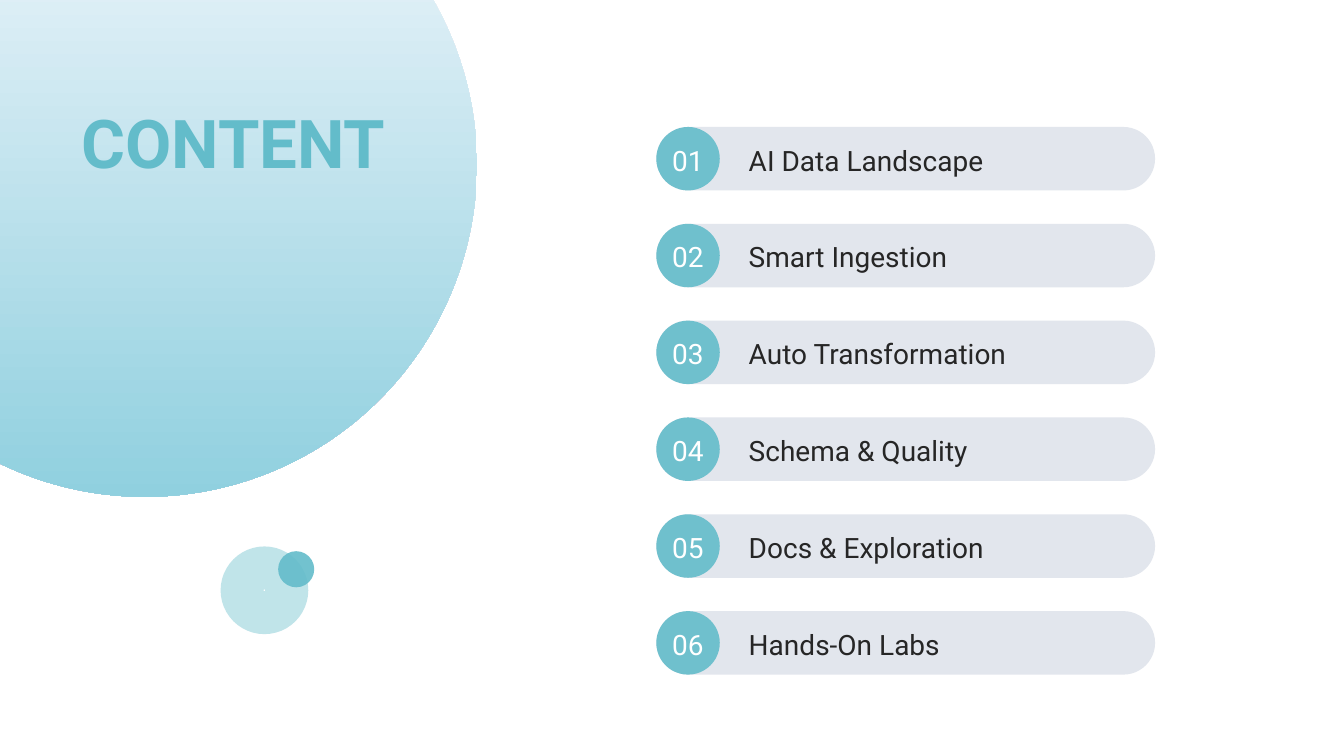
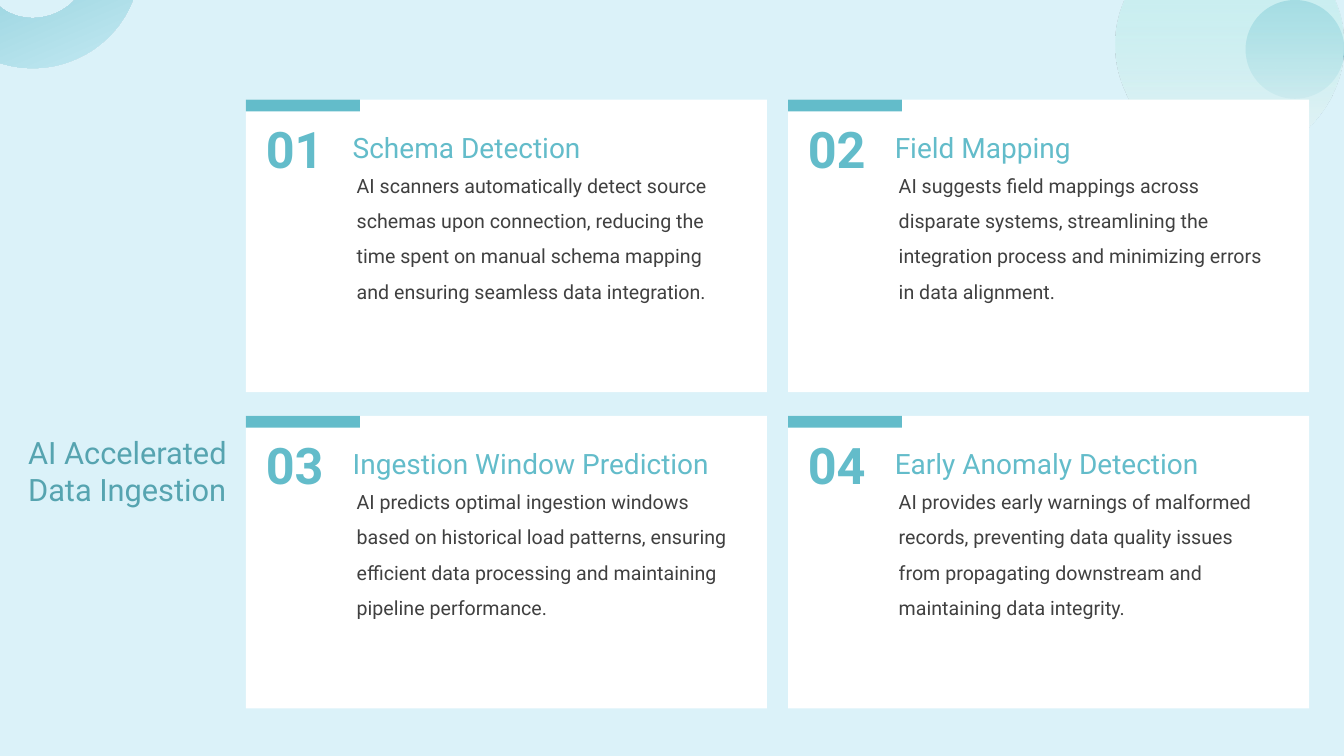
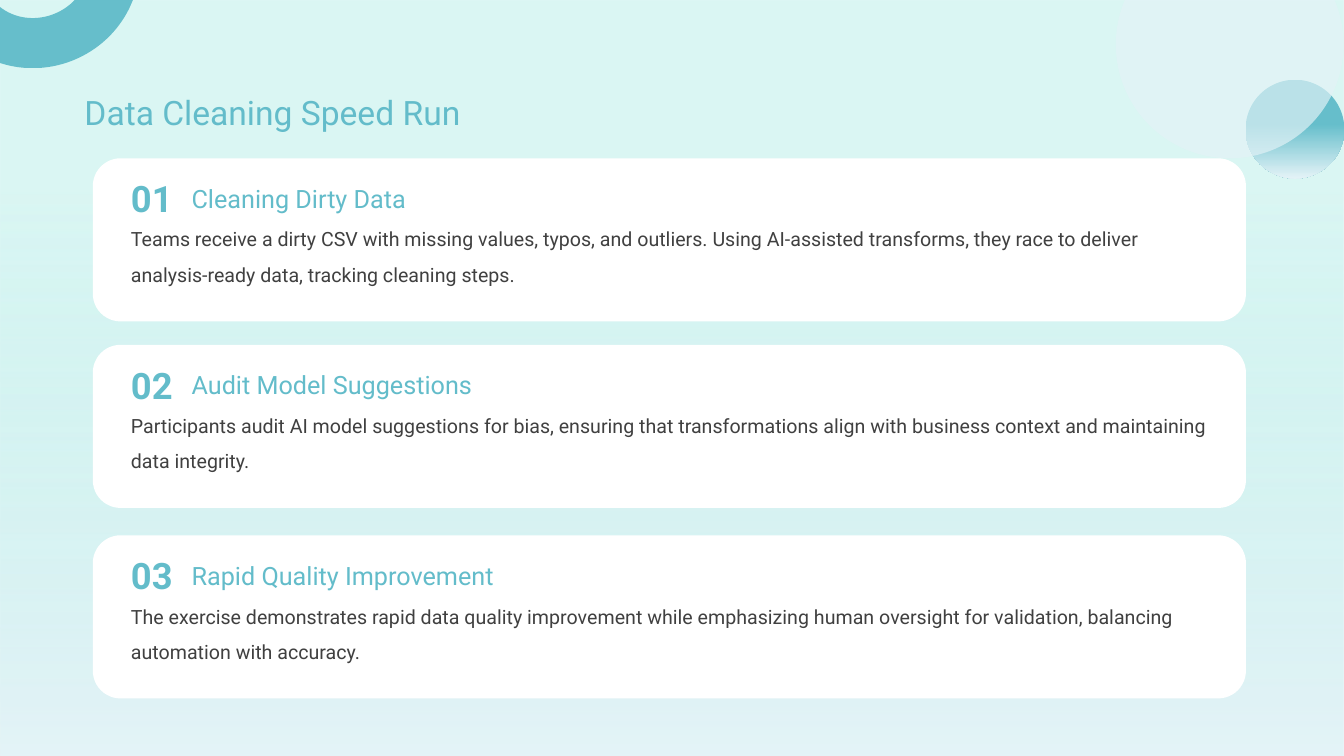
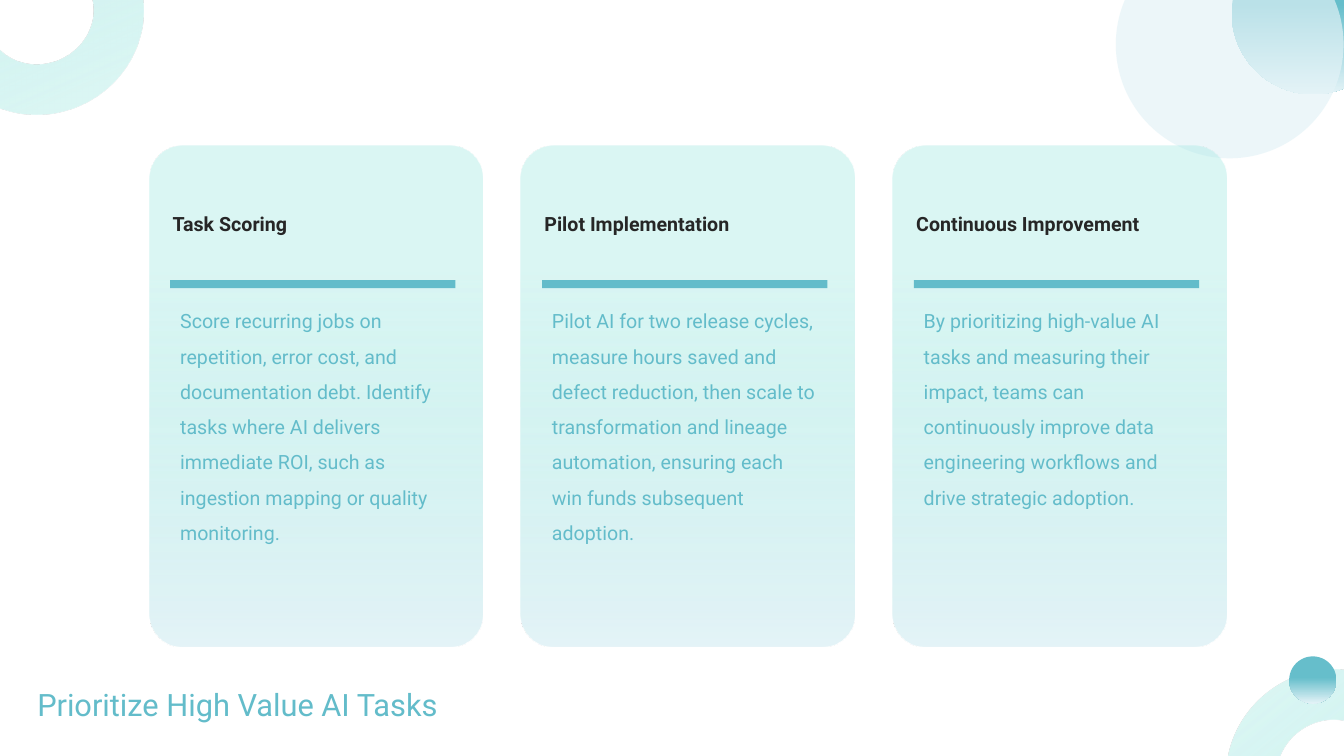
import dataclasses

import lxml.etree
import pptx
import pptx.dml.color
import pptx.enum.shapes
import pptx.enum.text
import pptx.oxml.ns
import pptx.util

Cm = pptx.util.Cm
SHAPE = pptx.enum.shapes.MSO_SHAPE
MIDDLE = pptx.enum.text.MSO_ANCHOR.MIDDLE
qn = pptx.oxml.ns.qn

AGENDA = ["AI Data Landscape", "Smart Ingestion", "Auto Transformation",
          "Schema & Quality", "Docs & Exploration", "Hands-On Labs"]

INGESTION_TITLE = "AI Accelerated Data Ingestion"
INGESTION = [
    ("Schema Detection",
     "AI scanners automatically detect source schemas upon connection, reducing the time "
     "spent on manual schema mapping and ensuring seamless data integration."),
    ("Field Mapping",
     "AI suggests field mappings across disparate systems, streamlining the integration "
     "process and minimizing errors in data alignment."),
    ("Ingestion Window Prediction",
     "AI predicts optimal ingestion windows based on historical load patterns, ensuring "
     "efficient data processing and maintaining pipeline performance."),
    ("Early Anomaly Detection",
     "AI provides early warnings of malformed records, preventing data quality issues from "
     "propagating downstream and maintaining data integrity."),
]

CLEANING_TITLE = "Data Cleaning Speed Run"
CLEANING = [
    ("Cleaning Dirty Data",
     "Teams receive a dirty CSV with missing values, typos, and outliers. Using AI-assisted "
     "transforms, they race to deliver analysis-ready data, tracking cleaning steps."),
    ("Audit Model Suggestions",
     "Participants audit AI model suggestions for bias, ensuring that transformations align "
     "with business context and maintaining data integrity."),
    ("Rapid Quality Improvement",
     "The exercise demonstrates rapid data quality improvement while emphasizing human "
     "oversight for validation, balancing automation with accuracy."),
]

PRIORITIES_TITLE = "Prioritize High Value AI Tasks"
PRIORITIES = [
    ("Task Scoring",
     "Score recurring jobs on repetition, error cost, and documentation debt. Identify tasks "
     "where AI delivers immediate ROI, such as ingestion mapping or quality monitoring."),
    ("Pilot Implementation",
     "Pilot AI for two release cycles, measure hours saved and defect reduction, then scale "
     "to transformation and lineage automation, ensuring each win funds subsequent adoption."),
    ("Continuous Improvement",
     "By prioritizing high-value AI tasks and measuring their impact, teams can continuously "
     "improve data engineering workflows and drive strategic adoption."),
]


@dataclasses.dataclass(frozen=True)
class Theme:
    """Solid paints are (colour, opacity %); gradients list (position %, colour, opacity %)."""
    font: str = "Roboto"
    teal: str = "63BCCA"
    deep_teal: str = "56A4B0"
    ink: str = "262626"
    body_ink: str = "404040"
    white: str = "FFFFFF"
    bar: str = "E2E6ED"
    teal_dot: tuple = ("63BCCA", 90)
    pale_teal: tuple = ("63BCCA", 40)
    blue_dot: tuple = ("85CADB", 90)
    sky: tuple = ("D2EFF8", 78)
    haze: tuple = ("E4F3F7", 67)
    dome: tuple = ((0, "F6F8FD", 100), (100, "90D0DF", 100))
    mint: tuple = ((0, "A8EAE4", 42), (25, "A8EAE4", 42), (100, "E4F3F7", 100))
    mint_bubble: tuple = ((0, "A8EAE4", 28), (92, "E4F3F7", 100), (100, "E4F3F7", 100))
    lagoon: tuple = ((0, "66BECB", 100), (45, "66BECB", 100), (100, "E4F3F7", 100))
    sky_ring: tuple = ((0, "D2EFF8", 100), (86, "72C3CF", 100), (100, "72C3CF", 100))
    cover_size: int = 48
    title_size: int = 24
    side_title_size: int = 22
    label_size: int = 20
    body_size: int = 14


THEME = Theme()
PAGE = (0, 0, 33.87, 19.05)
BUBBLE = (28.12, -1.75, 5.74, 5.74)
RING_SIZE = (5.26, 5.05)
CORNER_RING = (-1.73, -3.35, *RING_SIZE)

# Boxes are relative to the card's top left corner.
GRID_CARD = {"number": (0.25, 0.33, 2.36, 1.65), "heading": (2.44, 0.65, 10.41, 1.47),
             "body": (2.54, 1.45, 9.96, 5.61), "number_size": 36, "heading_size": 20}
WIDE_CARD = {"number": (0.71, 0.33, 1.8, 1.27), "heading": (2.24, 0.5, 9.96, 0.94),
             "body": (0.71, 1.32, 27.76, 2.36), "number_size": 26, "heading_size": 18}


def add_opacity(colour, opacity):
    if opacity < 100:
        lxml.etree.SubElement(colour, qn("a:alpha"), val=str(opacity * 1000))


def paint_shape(shape, paint):
    if isinstance(paint, str):
        paint = (paint, 100)
    if isinstance(paint[0], str):
        colour, opacity = paint
        shape.fill.solid()
        shape.fill.fore_color.rgb = pptx.dml.color.RGBColor.from_string(colour)
        add_opacity(shape._element.spPr.find(".//" + qn("a:srgbClr")), opacity)
        return
    shape.fill.gradient()
    shape.fill.gradient_angle = 270
    stops = shape._element.spPr.find(".//" + qn("a:gsLst"))
    for default_stop in list(stops):
        stops.remove(default_stop)
    for position, colour, opacity in paint:
        stop = lxml.etree.SubElement(stops, qn("a:gs"), pos=str(position * 1000))
        add_opacity(lxml.etree.SubElement(stop, qn("a:srgbClr"), val=colour), opacity)


def add_shape(slide, kind, box, paint, rotation=0, adjust=None):
    shape = slide.shapes.add_shape(kind, *map(Cm, box))
    shape.shadow.inherit = False
    shape.line.fill.background()
    shape.rotation = rotation
    if adjust is not None:
        shape.adjustments[0] = adjust
    paint_shape(shape, paint)


def add_text(slide, text, box, size=THEME.body_size, colour=THEME.teal, bold=False,
             spacing=None, anchor=None):
    frame = slide.shapes.add_textbox(*map(Cm, box)).text_frame
    frame.word_wrap = True
    if anchor is not None:
        frame.vertical_anchor = anchor
    paragraph = frame.paragraphs[0]
    paragraph.line_spacing = spacing
    run = paragraph.add_run()
    run.text = text
    run.font.name = THEME.font
    run.font.size = pptx.util.Pt(size)
    run.font.bold = bold
    run.font.color.rgb = pptx.dml.color.RGBColor.from_string(colour)


def add_numbered_text(slide, number, heading, body, left, top, layout):
    def placed(part):
        x, y, width, height = layout[part]
        return left + x, top + y, width, height

    add_text(slide, f"{number:02}", placed("number"), size=layout["number_size"], bold=True)
    add_text(slide, heading, placed("heading"), size=layout["heading_size"])
    add_text(slide, body, placed("body"), colour=THEME.body_ink, spacing=1.5)


def build_agenda(slide):
    add_shape(slide, SHAPE.DONUT, (5.56, 13.77, 2.21, 2.21), THEME.pale_teal, adjust=0.49)
    add_shape(slide, SHAPE.OVAL, (-4.72, -4.22, 16.74, 16.74), THEME.dome)
    add_shape(slide, SHAPE.OVAL, (7.01, 13.89, 0.91, 0.91), THEME.teal_dot)
    add_text(slide, "CONTENT", (1.8, 2.44, 12.19, 2.77), size=THEME.cover_size, bold=True)

    left, first_top, pitch, height = 16.54, 3.2, 2.44, 1.6
    for index, topic in enumerate(AGENDA):
        top = first_top + index * pitch
        text_top = top + 0.28
        add_shape(slide, SHAPE.ROUNDED_RECTANGLE, (left, top, 12.57, height), THEME.bar,
                  adjust=0.5)
        add_shape(slide, SHAPE.OVAL, (left, top, height, height), THEME.teal_dot)
        add_text(slide, f"{index + 1:02}", (left + 0.15, text_top, 1.42, 1.02),
                 size=THEME.label_size, colour=THEME.white)
        add_text(slide, topic, (left + 2.08, text_top, 10.46, 1.63),
                 size=THEME.label_size, colour=THEME.ink)


def build_ingestion(slide):
    add_shape(slide, SHAPE.RECTANGLE, PAGE, THEME.sky)
    add_shape(slide, SHAPE.OVAL, (31.39, 0, 2.49, 2.49), THEME.blue_dot)
    add_shape(slide, SHAPE.BLOCK_ARC, CORNER_RING, THEME.sky_ring, rotation=157)
    add_text(slide, INGESTION_TITLE, (0.46, 10.8, 5.74, 3.33),
             size=THEME.side_title_size, colour=THEME.deep_teal)
    add_shape(slide, SHAPE.OVAL, BUBBLE, THEME.mint_bubble)

    for index, (heading, body) in enumerate(INGESTION):
        row, column = divmod(index, 2)
        left, top = 6.2 + column * 13.66, 2.51 + row * 7.97
        add_shape(slide, SHAPE.RECTANGLE, (left, top, 13.13, 7.37), THEME.white)
        add_shape(slide, SHAPE.RECTANGLE, (left, top, 2.87, 0.3), THEME.teal)
        add_numbered_text(slide, index + 1, heading, body, left, top, GRID_CARD)


def build_cleaning(slide):
    add_shape(slide, SHAPE.RECTANGLE, PAGE, THEME.mint)
    add_shape(slide, SHAPE.OVAL, (31.39, 2.01, 2.49, 2.49), THEME.lagoon)
    add_shape(slide, SHAPE.BLOCK_ARC, CORNER_RING, THEME.lagoon, rotation=157)
    add_text(slide, CLEANING_TITLE, (1.88, 2.18, 28.93, 1.27), size=THEME.title_size)
    add_shape(slide, SHAPE.OVAL, BUBBLE, THEME.haze)

    left, tops = 2.34, (3.99, 8.69, 13.49)
    for number, (top, (heading, body)) in enumerate(zip(tops, CLEANING), start=1):
        add_shape(slide, SHAPE.ROUNDED_RECTANGLE, (left, top, 29.06, 4.11), THEME.white,
                  adjust=0.17)
        add_numbered_text(slide, number, heading, body, left, top, WIDE_CARD)


def build_priorities(slide):
    add_shape(slide, SHAPE.OVAL, (31.04, -1.73, 4.11, 4.11), THEME.lagoon)
    add_shape(slide, SHAPE.BLOCK_ARC, (-1.63, -2.18, *RING_SIZE), THEME.mint, rotation=157)
    add_text(slide, PRIORITIES_TITLE, (0.69, 16.64, 16.64, 2.21),
             size=THEME.side_title_size, anchor=MIDDLE)
    add_shape(slide, SHAPE.OVAL, BUBBLE, THEME.haze)

    for index, (heading, body) in enumerate(PRIORITIES):
        left = 3.76 + index * 9.37
        inner_left, inner_width = left + 0.53, 7.19
        add_shape(slide, SHAPE.ROUNDED_RECTANGLE, (left, 3.68, 8.41, 12.62), THEME.mint,
                  adjust=0.1)
        add_shape(slide, SHAPE.RECTANGLE, (inner_left, 7.06, inner_width, 0.2), THEME.teal)
        add_text(slide, heading, (left + 0.34, 4.8, 7.77, 1.65), colour=THEME.ink,
                 bold=True, anchor=MIDDLE)
        add_text(slide, body, (inner_left, 7.37, inner_width, 8.31), spacing=1.5)

    add_shape(slide, SHAPE.BLOCK_ARC, (30.86, 16.92, *RING_SIZE), THEME.mint, rotation=321)
    add_shape(slide, SHAPE.OVAL, (32.49, 16.54, 1.19, 1.19), THEME.lagoon)


def main():
    deck = pptx.Presentation()
    deck.slide_width, deck.slide_height = map(Cm, PAGE[2:])
    blank = deck.slide_layouts[6]
    for build in (build_agenda, build_ingestion, build_cleaning, build_priorities):
        build(deck.slides.add_slide(blank))
    deck.save("out.pptx")


if __name__ == "__main__":
    main()
